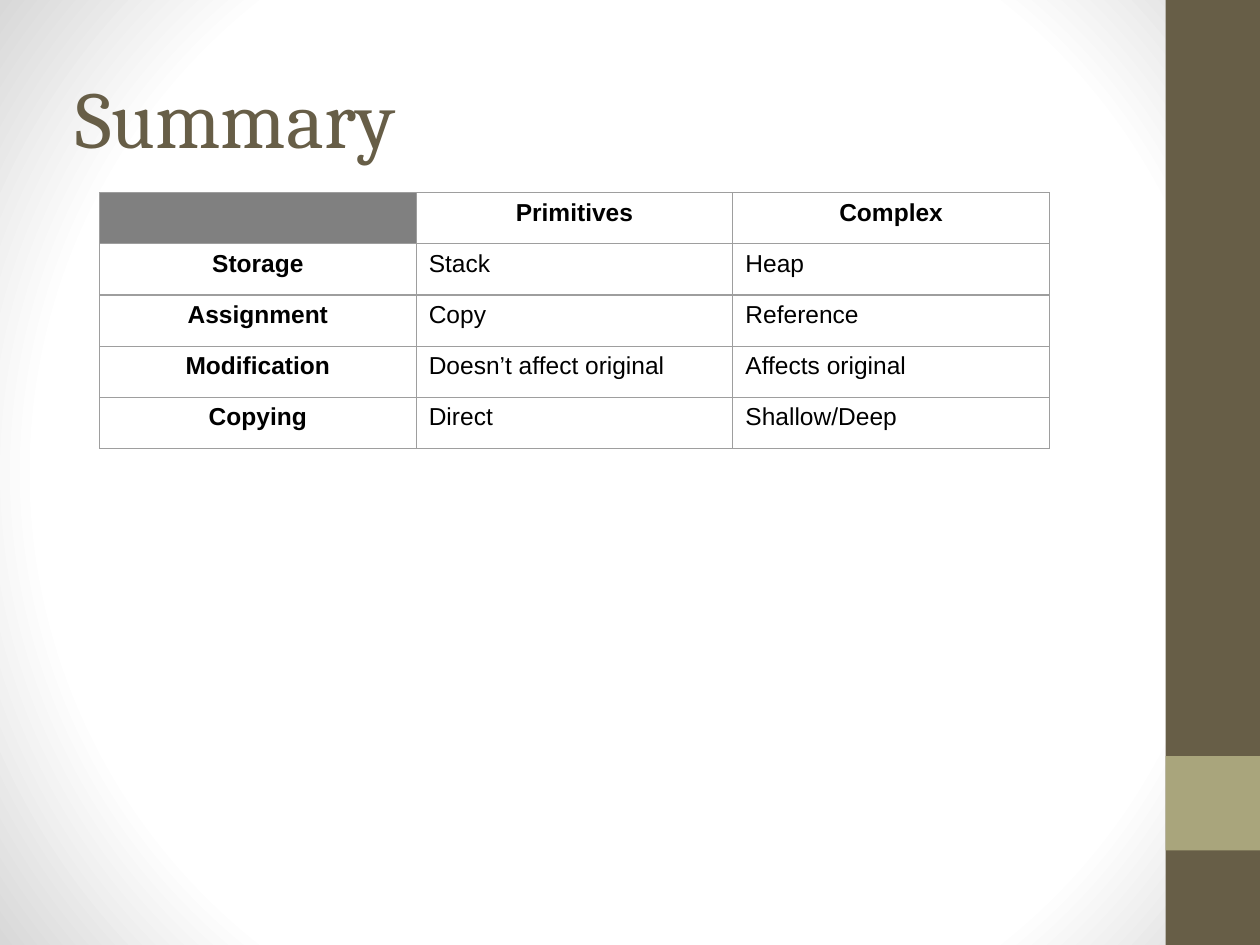
import pptx
import pptx.util
import pptx.oxml
import pptx.oxml.ns
import pptx.dml.color
import pptx.enum.shapes
import pptx.enum.text
from dataclasses import dataclass

Inches = pptx.util.Inches

TITLE = "Summary"
ROWS = [
    ("", "Primitives", "Complex"),
    ("Storage", "Stack", "Heap"),
    ("Assignment", "Copy", "Reference"),
    ("Modification", "Doesn’t affect original", "Affects original"),
    ("Copying", "Direct", "Shallow/Deep"),
]
TITLE_BOX = (0.5, 0.3, 8.33, 1.25)
TABLE_BOX = (0.79, 1.53, 7.54, 2.03)


@dataclass(frozen=True)
class Theme:
    title_font: str = "Cambria"
    title_size: int = 46
    body_font: str = "Arial"
    body_size: int = 14
    olive: str = "675E47"
    sage: str = "A9A57C"
    text: str = "000000"
    corner: str = "808080"
    border: str = "9E9E9E"
    border_width: float = 0.75
    backdrop: tuple = ((0, "FFFFFF"), (75, "FFFFFF"), (100, "D8D8D8"))


THEME = Theme()
SIDEBAR = [((9.25, 0, 0.75, 7.5), THEME.olive), ((9.25, 6, 0.75, 0.75), THEME.sage)]


def rgb(value):
    return pptx.dml.color.RGBColor.from_string(value)


def drawing_element(xml):
    namespace = pptx.oxml.ns.nsdecls("a")
    return pptx.oxml.parse_xml(xml.replace(">", f" {namespace}>", 1))


def paint_background(slide):
    slide.background.fill.gradient()
    gradient = slide.element.find(".//" + pptx.oxml.ns.qn("a:gradFill"))
    stops = "".join(
        f'<a:gs pos="{position * 1000}"><a:srgbClr val="{color}"/></a:gs>'
        for position, color in THEME.backdrop
    )
    radial = drawing_element(
        f'<a:gradFill rotWithShape="1"><a:gsLst>{stops}</a:gsLst><a:path path="circle">'
        '<a:fillToRect l="50000" t="50000" r="50000" b="50000"/></a:path></a:gradFill>'
    )
    gradient.getparent().replace(gradient, radial)


def add_sidebar(slide):
    for box, color in SIDEBAR:
        shape = slide.shapes.add_shape(
            pptx.enum.shapes.MSO_SHAPE.RECTANGLE, *map(Inches, box)
        )
        shape.shadow.inherit = False
        shape.fill.solid()
        shape.fill.fore_color.rgb = rgb(color)
        shape.line.fill.background()


def style_text(paragraph, font_name, size, color, bold=False):
    for run in paragraph.runs:
        run.font.name = font_name
        run.font.size = pptx.util.Pt(size)
        run.font.color.rgb = rgb(color)
        run.font.bold = bold


def add_title(slide):
    text_frame = slide.shapes.add_textbox(*map(Inches, TITLE_BOX)).text_frame
    text_frame.word_wrap = True
    text_frame.vertical_anchor = pptx.enum.text.MSO_ANCHOR.MIDDLE
    text_frame.margin_left = text_frame.margin_right = Inches(0.1)
    text_frame.margin_top = text_frame.margin_bottom = Inches(0.1)
    text_frame.text = TITLE
    style_text(
        text_frame.paragraphs[0], THEME.title_font, THEME.title_size, THEME.olive
    )


def add_borders(cell):
    properties = cell._tc.get_or_add_tcPr()
    width = pptx.util.Pt(THEME.border_width)
    for index, side in enumerate(("lnL", "lnR", "lnT", "lnB")):
        border = drawing_element(
            f'<a:{side} w="{width}"><a:solidFill><a:srgbClr val="{THEME.border}"/>'
            f"</a:solidFill></a:{side}>"
        )
        properties.insert(index, border)


def add_summary_table(slide):
    table = slide.shapes.add_table(
        len(ROWS), len(ROWS[0]), *map(Inches, TABLE_BOX)
    ).table
    table.first_row = table.horz_banding = False
    for row_index, row in enumerate(ROWS):
        for column_index, text in enumerate(row):
            cell = table.cell(row_index, column_index)
            is_header = row_index == 0 or column_index == 0
            if text:
                cell.fill.background()
            else:
                cell.fill.solid()
                cell.fill.fore_color.rgb = rgb(THEME.corner)
            add_borders(cell)
            cell.text_frame.text = text
            paragraph = cell.text_frame.paragraphs[0]
            if is_header:
                paragraph.alignment = pptx.enum.text.PP_ALIGN.CENTER
            style_text(
                paragraph, THEME.body_font, THEME.body_size, THEME.text, is_header
            )


def main():
    presentation = pptx.Presentation()
    presentation.slide_width = Inches(10)
    presentation.slide_height = Inches(7.5)
    slide = presentation.slides.add_slide(presentation.slide_layouts[6])
    paint_background(slide)
    add_sidebar(slide)
    add_title(slide)
    add_summary_table(slide)
    presentation.save("out.pptx")


if __name__ == "__main__":
    main()
